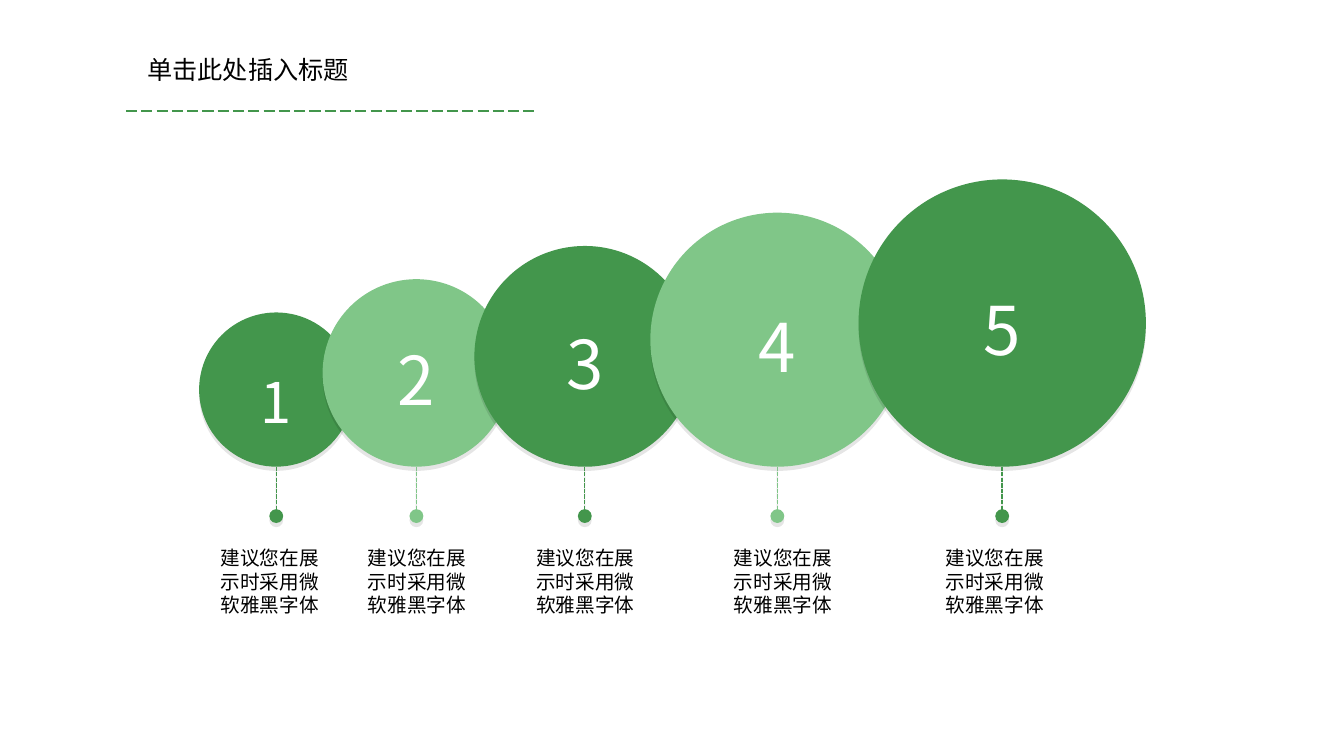
from dataclasses import dataclass

from lxml import etree
from pptx import Presentation
from pptx import util as u
from pptx.dml.color import RGBColor
from pptx.enum import dml, shapes, text
from pptx.oxml import ns


@dataclass(frozen=True)
class Theme:
    font: str = "Noto Sans CJK SC"
    dark: str = "43964C"
    light: str = "80C688"
    ink: str = "000000"
    paper: str = "FFFFFF"
    title: int = 18
    caption: int = 14
    small_number: int = 40
    number: int = 48


def rgb(color):
    return RGBColor.from_string(color)


def add_xml(parent, tag, **attrs):
    return etree.SubElement(parent, ns.qn(tag), attrs)


class SlideBuilder:
    def __init__(self, s, theme):
        self.s = s
        self.theme = theme

    def add_shadow(self, sp):
        effects = add_xml(sp._element.spPr, "a:effectLst")
        shadow = add_xml(effects, "a:outerShdw", blurRad="0", dist=str(u.Pt(3)),
                         dir="5400000", algn="t", rotWithShape="0")
        color = add_xml(shadow, "a:srgbClr", val=self.theme.ink)
        add_xml(color, "a:alpha", val="10000")

    def set_text(self, sp, content, size, color, align=text.PP_ALIGN.LEFT):
        tf = sp.text_frame
        tf.word_wrap = True
        tf.auto_size = text.MSO_AUTO_SIZE.SHAPE_TO_FIT_TEXT
        tf.vertical_anchor = text.MSO_ANCHOR.TOP
        p = tf.paragraphs[0]
        p.alignment = align
        p.line_spacing = 1.0
        r = p.add_run()
        r.text = content
        r.font.size = u.Pt(size)
        r.font.name = self.theme.font
        r.font.color.rgb = rgb(color)
        add_xml(r._r.get_or_add_rPr(), "a:ea", typeface=self.theme.font)

    def title(self, content, x, y, w, h):
        sp = self.s.shapes.title
        sp.left, sp.top = u.Inches(x), u.Inches(y)
        sp.width, sp.height = u.Inches(w), u.Inches(h)
        self.set_text(sp, content, self.theme.title, self.theme.ink)

    def label(self, content, x, y, w, h, size, color, align=text.PP_ALIGN.LEFT):
        sp = self.s.shapes.add_textbox(u.Inches(x), u.Inches(y), u.Inches(w), u.Inches(h))
        self.set_text(sp, content, size, color, align)

    def circle(self, x, y, d, color):
        sp = self.s.shapes.add_shape(shapes.MSO_SHAPE.OVAL, u.Inches(x), u.Inches(y),
                                     u.Inches(d), u.Inches(d))
        sp.fill.solid()
        sp.fill.fore_color.rgb = rgb(color)
        sp.line.fill.background()
        self.add_shadow(sp)

    def line(self, x1, y1, x2, y2, color, dash, dot=False):
        sp = self.s.shapes.add_connector(shapes.MSO_CONNECTOR.STRAIGHT, u.Inches(x1),
                                         u.Inches(y1), u.Inches(x2), u.Inches(y2))
        sp.line.color.rgb = rgb(color)
        sp.line.width = u.Pt(1)
        sp.line.dash_style = dash
        if dot:
            ln = sp._element.spPr.find(ns.qn("a:ln"))
            add_xml(ln, "a:tailEnd", type="oval", w="lg", len="lg")
            self.add_shadow(sp)
        else:
            add_xml(sp._element.spPr, "a:effectLst")


def main():
    prs = Presentation()
    prs.slide_width, prs.slide_height = u.Inches(13.33), u.Inches(7.5)
    theme = Theme()
    b = SlideBuilder(prs.slides.add_slide(prs.slide_layouts[5]), theme)

    centers = [2.74, 4.13, 5.8, 7.71, 9.94]
    caption_lefts = [2.09, 3.55, 5.22, 7.18, 9.28]
    diameters = [1.53 + 0.33 * i for i in range(5)]
    colors = [(theme.dark, theme.light)[i % 2] for i in range(5)]
    base = 4.63

    b.title("单击此处插入标题", 1.36, 0.49, 3.97, 0.4)
    for x, d, color in zip(centers, diameters, colors):
        b.circle(x - d / 2, base - d, d, color)
    for x, color in zip(centers, colors):
        b.line(x, base, x, 5.12, color, dml.MSO_LINE.SQUARE_DOT, dot=True)
    for x in caption_lefts:
        b.label("建议您在展示时采用微软雅黑字体", x, 5.37, 1.3, 0.81, theme.caption, theme.ink)
    for i, (x, d) in enumerate(zip(centers, diameters)):
        size, rise = (theme.number, 0.39) if i else (theme.small_number, 0.27)
        b.label(str(i + 1), x - 0.4, base - d / 2 - rise, 0.8, 0.91, size,
                theme.paper, text.PP_ALIGN.CENTER)
    b.line(1.25, 1.1, 5.33, 1.1, theme.dark, dml.MSO_LINE.LONG_DASH)

    prs.save("out.pptx")


if __name__ == "__main__":
    main()
